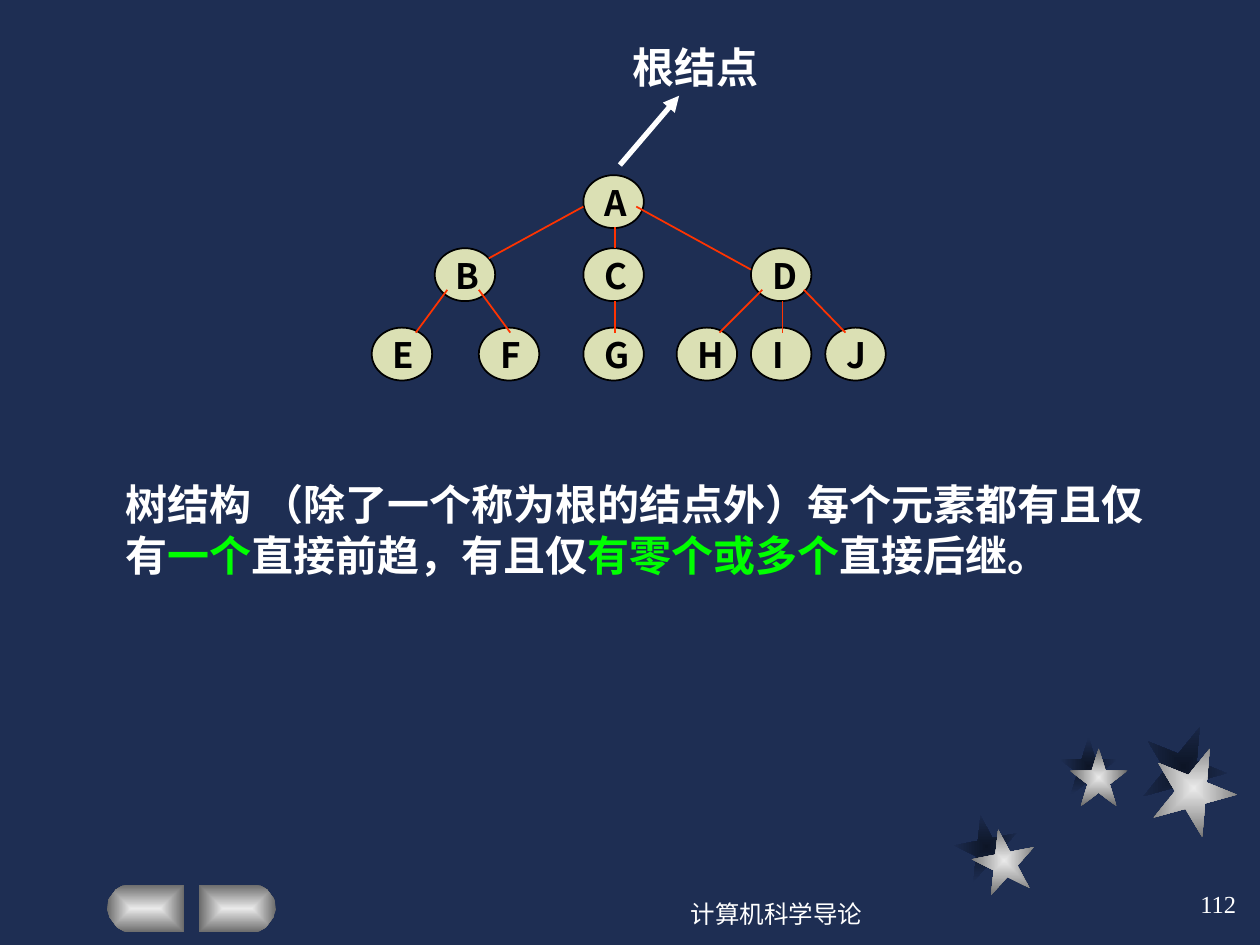
from dataclasses import dataclass

from lxml.etree import SubElement
from pptx import Presentation
from pptx.dml.color import RGBColor
from pptx.enum.shapes import MSO_CONNECTOR as Connector, MSO_SHAPE as Preset
from pptx.enum.text import MSO_ANCHOR as Anchor, PP_ALIGN as Align
from pptx.oxml.ns import qn
from pptx.util import Inches, Pt


@dataclass(frozen=True)
class Theme:
    """Colours, fonts and type sizes."""
    background: str = "1E2E53"
    shade: str = "0D1526"
    silver: str = "EAEAEA"
    steel: str = "6B6B6B"
    white: str = "FFFFFF"
    black: str = "000000"
    green: str = "00FF00"
    node: str = "DBE0B4"
    edge: str = "FF3300"
    serif: str = "Times New Roman"
    sans: str = "Noto Sans CJK SC"
    body_size: int = 24
    node_size: int = 20
    footer_size: int = 14


class TreePage:
    """Draws the parts of a tree diagram on one slide."""

    def __init__(self, page, theme):
        """Keep the slide and its style."""
        self.page, self.theme = page, theme
        page.background.fill.solid()
        page.background.fill.fore_color.rgb = RGBColor.from_string(theme.background)

    def glow(self, shape, inner, outer):
        """Fill a shape with a gradient spreading from its centre."""
        shape.shadow.inherit = False
        shape.line.fill.background()
        shape.fill.gradient()
        for stop, position, color in zip(shape.fill.gradient_stops, (0, 1), (inner, outer)):
            stop.position = position
            stop.color.rgb = RGBColor.from_string(color)
        gradient = shape._element.spPr.find(qn("a:gradFill"))
        gradient.remove(gradient.find(qn("a:lin")))
        path = SubElement(gradient, qn("a:path"), path="rect")
        SubElement(path, qn("a:fillToRect"), l="50000", t="50000", r="50000", b="50000")

    def star(self, left, top, size, turn, inner, outer):
        """Add a five-pointed star."""
        shape = self.page.shapes.add_shape(
            Preset.STAR_5_POINT, Inches(left), Inches(top), Inches(size), Inches(size))
        shape.rotation = turn
        self.glow(shape, inner, outer)

    def button(self, points):
        """Add a navigation button from its outline."""
        corners = [(Inches(x), Inches(y)) for x, y in points]
        builder = self.page.shapes.build_freeform(*corners[0], scale=1.0)
        builder.add_line_segments(corners[1:], close=True)
        self.glow(builder.convert_to_shape(), self.theme.silver, self.theme.steel)

    def text(self, left, top, width, height, spans, size, font=None, color=None,
             bold=True, align=Align.LEFT, anchor=Anchor.TOP):
        """Add a text box of one paragraph from (text, colour) spans."""
        box = self.page.shapes.add_textbox(
            Inches(left), Inches(top), Inches(width), Inches(height))
        frame = box.text_frame
        frame.word_wrap = True
        frame.vertical_anchor = anchor
        para = frame.paragraphs[0]
        para.alignment = align
        para.font.size, para.font.bold = Pt(size), bold
        para.font.color.rgb = RGBColor.from_string(color or self.theme.white)
        para.font.name = font or self.theme.serif
        defaults = para._p.pPr.find(qn("a:defRPr"))
        SubElement(defaults, qn("a:ea"), typeface=self.theme.sans)
        for words, tint in spans:
            span = para.add_run()
            span.text = words
            if tint:
                span.font.color.rgb = RGBColor.from_string(tint)

    def node(self, name, left, top):
        """Add a tree node with its letter."""
        theme = self.theme
        oval = self.page.shapes.add_shape(
            Preset.OVAL, Inches(left), Inches(top), Inches(0.48), Inches(0.42))
        oval.shadow.inherit = False
        oval.fill.solid()
        oval.fill.fore_color.rgb = RGBColor.from_string(theme.node)
        oval.line.color.rgb = RGBColor.from_string(theme.black)
        oval.line.width = Pt(1)
        self.text(left + 0.07, top, 0.48, 0.44, [(name, None)], theme.node_size,
                  font=theme.sans, color=theme.black)

    def line(self, start, end, color, width, arrow=False):
        """Add a straight line, with an arrowhead at its end if asked."""
        link = self.page.shapes.add_connector(
            Connector.STRAIGHT, *(Inches(value) for value in (*start, *end)))
        link.line.color.rgb = RGBColor.from_string(color)
        link.line.width = Pt(width)
        if arrow:
            SubElement(link.line._get_or_add_ln(), qn("a:tailEnd"), type="triangle")
        SubElement(link._element.spPr, qn("a:effectLst"))


STARS = [
    ((7.58, 6.47), (7.72, 6.58), 0.5, 349),
    ((8.41, 5.85), (8.49, 5.94), 0.46, 0),
    ((9.06, 5.75), (9.14, 5.92), 0.67, 22),
]
BUTTON = [
    (1.46, 7.02), (1.03, 7.02), (0.97, 7.03), (0.92, 7.06), (0.89, 7.1),
    (0.86, 7.14), (0.85, 7.22), (0.87, 7.28), (0.9, 7.32), (0.93, 7.36),
    (0.98, 7.39), (1.01, 7.4), (1.46, 7.4),
]
BUTTON_AXIS = 1.52
LEVELS = [
    (1.39, {"A": 4.63}),
    (1.97, {"B": 3.45, "C": 4.63, "D": 5.96}),
    (2.6, {"E": 2.95, "F": 3.8, "G": 4.63, "H": 5.37, "I": 5.96, "J": 6.55}),
]
EDGES = [
    ((4.63, 1.64), (3.88, 2.05)), ((4.88, 1.8), (4.88, 1.97)),
    ((5.05, 1.64), (5.96, 2.14)), ((3.55, 2.3), (3.3, 2.64)),
    ((3.8, 2.3), (4.05, 2.64)), ((4.88, 2.39), (4.88, 2.64)),
    ((6.05, 2.3), (5.71, 2.64)), ((6.21, 2.39), (6.21, 2.64)),
    ((6.38, 2.3), (6.71, 2.64)),
]


def main():
    """Build the tree structure slide."""
    theme = Theme()
    deck = Presentation()
    deck.slide_width, deck.slide_height = Inches(10), Inches(7.5)
    tree = TreePage(deck.slides.add_slide(deck.slide_layouts[6]), theme)

    for back, _, size, turn in STARS:
        tree.star(*back, size, turn, theme.shade, theme.background)
    for _, front, size, turn in STARS:
        tree.star(*front, size, turn, theme.silver, theme.steel)
    tree.button(BUTTON)
    tree.button([(2 * BUTTON_AXIS - x, y) for x, y in BUTTON])

    tree.text(0.9, 3.75, 8.43, 0.9, [
        ("树结构 （除了一个称为根的结点外）每个元素都有且仅有", None),
        ("一个", theme.green),
        ("直接前趋，有且仅", None),
        ("有零个或多个", theme.green),
        ("直接后继。", None),
    ], theme.body_size)

    for top, nodes in LEVELS:
        for name, left in nodes.items():
            tree.node(name, left, top)
    for start, end in EDGES:
        tree.line(start, end, theme.edge, 1)
    tree.line((4.92, 1.31), (5.39, 0.76), theme.white, 3, arrow=True)
    tree.text(4.92, 0.28, 1.26, 0.5, [("根结点", None)], theme.body_size)

    tree.text(4.58, 7, 3.17, 0.5, [("计算机科学导论", None)], theme.footer_size,
              bold=False, align=Align.CENTER, anchor=Anchor.MIDDLE)
    tree.text(7.83, 6.92, 2.08, 0.5, [("112", None)], theme.footer_size,
              bold=False, align=Align.RIGHT, anchor=Anchor.MIDDLE)
    deck.save("out.pptx")


if __name__ == "__main__":
    main()
